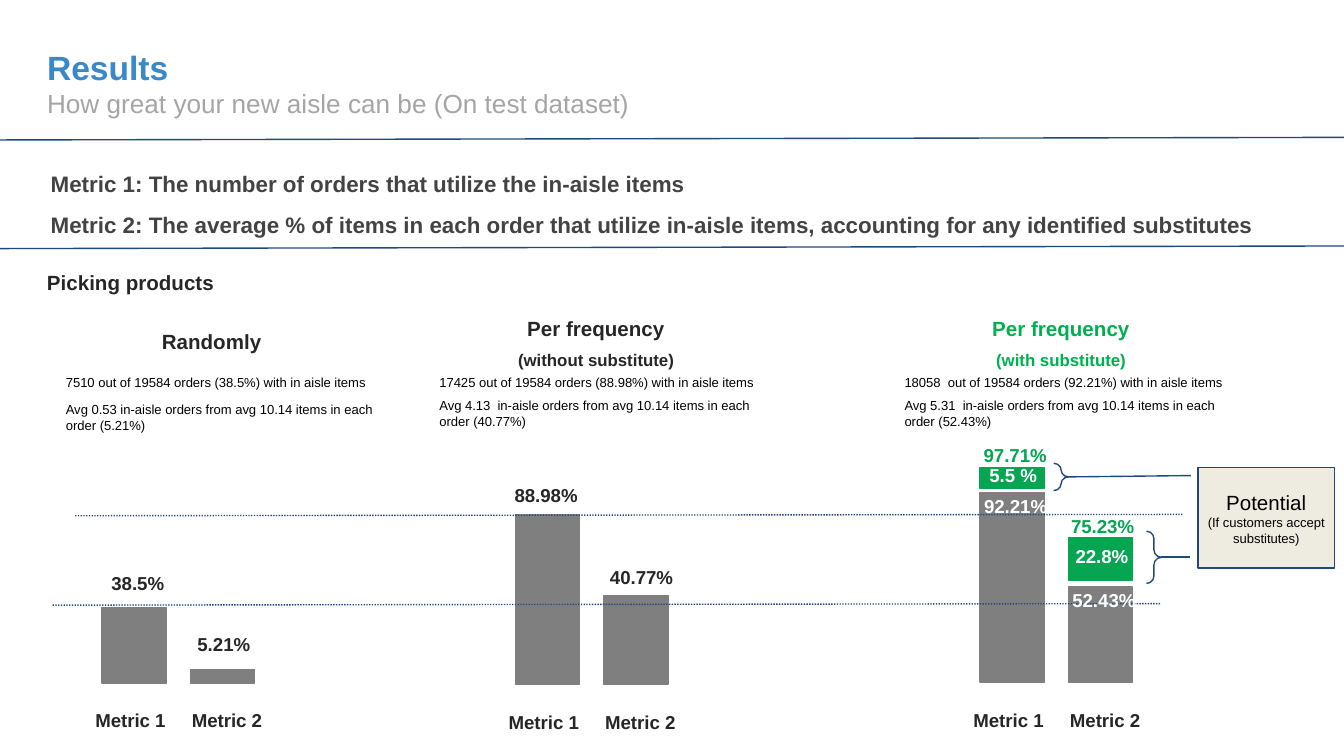
"""Build the results slide comparing three ways of picking products for the aisle."""
from dataclasses import dataclass

from lxml import etree
from pptx import Presentation
from pptx.dml.color import RGBColor
from pptx.enum.dml import MSO_LINE
from pptx.enum.shapes import MSO_CONNECTOR, MSO_SHAPE
from pptx.enum.text import MSO_ANCHOR, MSO_AUTO_SIZE, PP_ALIGN
from pptx.oxml.ns import qn
from pptx.util import Pt

LEFT, CENTER = PP_ALIGN.LEFT, PP_ALIGN.CENTER
TOP, MIDDLE, BOTTOM = MSO_ANCHOR.TOP, MSO_ANCHOR.MIDDLE, MSO_ANCHOR.BOTTOM
RECT, BRACE = MSO_SHAPE.RECTANGLE, MSO_SHAPE.RIGHT_BRACE
STRAIGHT, DOTTED, NO_FIT = MSO_CONNECTOR.STRAIGHT, MSO_LINE.ROUND_DOT, MSO_AUTO_SIZE.NONE


@dataclass(frozen=True)
class Theme:
    font: str = "Arial"
    blue: str = "3989C9"
    light: str = "A5A5A5"
    dark: str = "262626"
    slate: str = "434343"
    black: str = "000000"
    white: str = "FFFFFF"
    navy: str = "1F497D"
    gray: str = "7F7F7F"
    green: str = "05A551"
    accent: str = "00B050"
    cream: str = "EEECE1"
    title: int = 18
    subtitle: int = 14
    metric: int = 12
    heading: int = 11
    label: int = 10
    note: int = 9
    detail: int = 7
    line: float = 0.75


T = Theme()


def write(s, box, lines, color, bold=True, align=LEFT, anchor=TOP, spacing=1.0, gap=0):
    s.left, s.top, s.width, s.height = map(Pt, box)
    tf = s.text_frame
    tf.auto_size, tf.word_wrap, tf.vertical_anchor = NO_FIT, True, anchor
    tf.margin_left = tf.margin_right = Pt(5)
    tf.margin_top = tf.margin_bottom = Pt(3)
    for i, (text, size) in enumerate(lines):
        p = tf.paragraphs[0] if i == 0 else tf.add_paragraph()
        p.text = text
        p.alignment, p.line_spacing = align, spacing
        p.space_before, p.space_after = Pt(gap if i else 0), Pt(0)
        p.font.name, p.font.size, p.font.bold = T.font, Pt(size), bold
        p.font.color.rgb = RGBColor.from_string(color)


def add_shape(kind, box, fill, line):
    s = slide.shapes.add_shape(kind, *map(Pt, box))
    s.shadow.inherit = False
    if fill:
        s.fill.solid()
        s.fill.fore_color.rgb = RGBColor.from_string(fill)
    else:
        s.fill.background()
    s.line.color.rgb = RGBColor.from_string(line)
    s.line.width = Pt(T.line)
    return s


prs = Presentation()
prs.slide_width, prs.slide_height = Pt(720), Pt(405)
slide = prs.slides.add_slide(prs.slide_layouts[0])
title, subtitle = slide.placeholders
write(title, (20.2, 16.6, 567, 33), [("Results", T.title)], T.blue, anchor=BOTTOM)
write(subtitle, (20.2, 44, 567, 32),
      [("How great your new aisle can be (On test dataset)", T.subtitle)], T.light, bold=False)

new_text = slide.shapes.add_textbox
write(new_text(0, 0, 0, 0), (22.2, 81.2, 692, 47), [
    ("Metric 1: The number of orders that utilize the in-aisle items", T.metric),
    ("Metric 2: The average % of items in each order that utilize in-aisle items, "
     "accounting for any identified substitutes", T.metric),
], T.slate, spacing=1.5)
write(new_text(0, 0, 0, 0), (20.2, 141.8, 116, 19), [("Picking products", T.heading)], T.dark)

BAR_W, BAR_STEP, METRIC_STEP = 34.5, 47.3, 51.7
columns = [
    (54.6, 366, 377, [325.4, 358.6], (59.8, 173.4), T.dark, [("Randomly", T.heading)],
     (30.3, 213.8), "7510 out of 19584 orders (38.5%) with in aisle items",
     "Avg 0.53 in-aisle orders from avg 10.14 items in each order (5.21%)"),
    (276, 366.4, 378, [275.6, 319], (265.7, 166.3), T.dark,
     [("Per frequency", T.heading), ("(without substitute)", T.note)],
     (230.4, 211.6), "17425 out of 19584 orders (88.98%) with in aisle items",
     "Avg 4.13  in-aisle orders from avg 10.14 items in each order (40.77%)"),
    (525, 365.5, 377, [264.2, 314.6], (514.8, 166.3), T.accent,
     [("Per frequency", T.heading), ("(with substitute)", T.note)],
     (479.6, 211.6), "18058  out of 19584 orders (92.21%) with in aisle items",
     "Avg 5.31  in-aisle orders from avg 10.14 items in each order (52.43%)"),
]
for x, base, label_y, tops, spot, color, heading, (detail_x, avg_y), orders, average in columns:
    write(new_text(0, 0, 0, 0), (*spot, 107.2, 33), heading, color, align=CENTER, gap=5)
    for y, text in [(200.8, orders), (avg_y + 1.4, average)]:
        write(new_text(0, 0, 0, 0), (detail_x, y - 3, 183, 26), [(text, T.detail)],
              T.black, bold=False)
    for i, top in enumerate(tops):
        add_shape(RECT, (x + i * BAR_STEP, top, BAR_W, base - top), T.gray, T.gray)
        write(new_text(0, 0, 0, 0), (x - 8.5 + i * METRIC_STEP, label_y, 52, 19),
              [(f"Metric {i + 1}", T.label)], T.dark)

for x, y, h in [(525, 250.4, 11.5), (572.3, 288, 23)]:
    add_shape(RECT, (x, y, BAR_W, h), T.green, T.green)
for box in [(614.2, 284.6, 8, 28), (564.5, 248.2, 8, 14.6)]:
    s = add_shape(BRACE, box, None, T.navy)
    s.adjustments[0] = s.adjustments[1] = 0.5

lines = [
    (0, 75, 720, 73.6, None), (0, 133.2, 720, 131.8, None),
    (28.2, 324.2, 622, 323.4, DOTTED), (40.2, 276.3, 634.2, 275.6, DOTTED),
    (572.5, 255.5, 638, 254.8, None), (622.2, 298.4, 637.5, 298.4, None),
]
for *ends, dash in lines:
    s = slide.shapes.add_connector(STRAIGHT, *map(Pt, ends))
    s.line.color.rgb = RGBColor.from_string(T.navy)
    s.line.width = Pt(T.line)
    if dash:
        s.line.dash_style = dash
    etree.SubElement(s._element.spPr, qn("a:effectLst"))

values = [
    ("38.5%", 54.7, 303.1, T.dark), ("5.21%", 100.8, 336.2, T.dark),
    ("88.98%", 270.7, 256.3, T.dark), ("40.77%", 321.8, 300.2, T.dark),
    ("92.21%", 522.2, 262, T.white), ("52.43%", 569.5, 312.5, T.white),
    ("5.5 %", 525, 245.5, T.white), ("22.8%", 571.2, 289, T.white),
    ("97.71%", 522, 234.7, T.green), ("75.23%", 568.8, 273, T.green),
]
for text, x, y, color in values:
    write(new_text(0, 0, 0, 0), (x, y, 46.2, 19), [(text, T.label)], color)

box = (641.8, 250.4, 73.2, 54)
write(add_shape(RECT, box, T.cream, T.navy), box,
      [("Potential", T.heading), ("(If customers accept substitutes)", T.detail)],
      T.black, bold=False, align=CENTER, anchor=MIDDLE)

prs.save("out.pptx")
